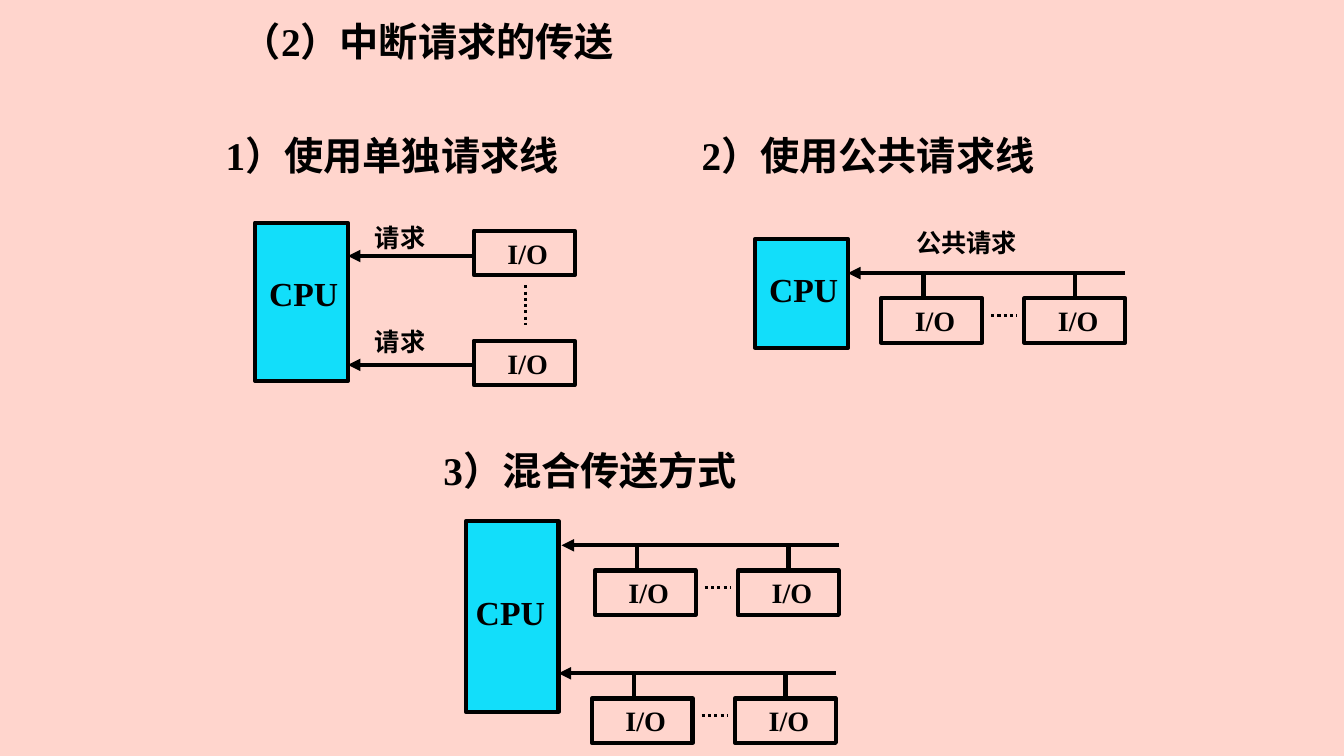
"""Build the slide on three ways of transferring interrupt requests."""
from lxml import etree
from pptx import Presentation
from pptx import util as u
from pptx.dml.color import RGBColor
from pptx.enum import dml, shapes, text
from pptx.oxml.ns import qn

COLOURS = {"page": "FFD5CD", "cpu": "12DEFA", "ink": "000000"}
LATIN, CHINESE = "Times New Roman", "Noto Sans CJK SC"

TITLE = ("（2）中断请求的传送", 2.3, 0.12, 6.33, 0.57)
HEADINGS = [
    ("1）使用单独请求线", 2.14, 1.25, 4.92, 0.57),
    ("2）使用公共请求线", 6.86, 1.25, 3.96, 0.57),
    ("3）混合传送方式", 4.3, 4.38, 3.96, 0.57),
]
LINE_LABELS = [
    ("请求", 3.62, 2.16, 1.33, 0.4),
    ("请求", 3.62, 3.19, 1.33, 0.4),
    ("公共请求", 8.99, 2.21, 1.83, 0.4),
]
CPUS = [
    ((2.53, 2.21, 0.92, 1.57), (2.57, 2.66)),
    ((7.49, 2.37, 0.92, 1.08), (7.53, 2.62)),
    ((4.62, 5.17, 0.92, 1.89), (4.62, 5.82)),
]
SINGLE_REQUESTS = [(2.54, 2.29), (3.62, 3.38)]
BUSES = [(8.41, 2.71), (5.57, 5.41), (5.54, 6.68)]
BUS_LENGTH, DROP = 2.75, 0.25
IO_WIDTH, IO_HEIGHT = 1, 0.44


def colour(name):
    return RGBColor.from_string(COLOURS[name])


def write(box, words, size, font=LATIN, align=text.PP_ALIGN.LEFT,
          anchor=text.MSO_ANCHOR.TOP):
    frame = box.text_frame
    frame.text = words
    frame.word_wrap = True
    frame.auto_size = text.MSO_AUTO_SIZE.NONE
    frame.vertical_anchor = anchor
    para = frame.paragraphs[0]
    para.alignment = align
    para.space_before = u.Pt(0)
    for span in para.runs:
        span.font.name = font
        span.font.size = u.Pt(size)
        span.font.bold = True
        span.font.color.rgb = colour("ink")
        east_asian = etree.Element(qn("a:ea"), typeface=CHINESE)
        span.font._element.find(qn("a:latin")).addnext(east_asian)


def add_label(page, words, left, top, width, height, size, font=LATIN):
    box = page.shapes.add_textbox(*map(u.Inches, (left, top, width, height)))
    write(box, words, size, font)


def add_rectangle(page, left, top, width, height, fill=None):
    box = page.shapes.add_shape(shapes.MSO_SHAPE.RECTANGLE,
                                *map(u.Inches, (left, top, width, height)))
    box.shadow.inherit = False
    if fill:
        box.fill.solid()
        box.fill.fore_color.rgb = colour(fill)
    else:
        box.fill.background()
    box.line.color.rgb = colour("ink")
    box.line.width = u.Pt(3)
    return box


def add_io(page, left, top):
    box = add_rectangle(page, left, top, IO_WIDTH, IO_HEIGHT)
    write(box, " I/O", 20, align=text.PP_ALIGN.CENTER,
          anchor=text.MSO_ANCHOR.MIDDLE)
    return box


def add_line(page, start, end, arrow=False, dotted=False):
    line = page.shapes.add_connector(shapes.MSO_CONNECTOR.STRAIGHT,
                                     *map(u.Inches, (*start, *end)))
    line.line.color.rgb = colour("ink")
    line.line.width = u.Pt(2.25 if dotted else 3)
    if dotted:
        line.line.dash_style = dml.MSO_LINE.ROUND_DOT
    properties = line._element.spPr
    if arrow:
        etree.SubElement(properties.find(qn("a:ln")), qn("a:headEnd"),
                         type="triangle")
    etree.SubElement(properties, qn("a:effectLst"))
    return line


def add_bus(page, left, y):
    add_line(page, (left, y), (left + BUS_LENGTH, y), arrow=True)
    top = y + DROP
    add_io(page, left + 0.33, top)
    last_io = add_io(page, left + BUS_LENGTH - IO_WIDTH, top)
    add_line(page, (left + 0.75, y), (left + 0.75, top))
    last_drop = add_line(page, (left + 2.25, y), (left + 2.25, top))
    last_drop.end_connect(last_io, 0)
    add_line(page, (left + 1.42, y + 0.42), (left + 1.67, y + 0.42),
             dotted=True)


def main():
    deck = Presentation()
    deck.slide_width, deck.slide_height = u.Inches(13.33), u.Inches(7.5)
    page = deck.slides.add_slide(deck.slide_layouts[5])
    page.background.fill.solid()
    page.background.fill.fore_color.rgb = colour("page")

    words, *place = TITLE
    title = page.shapes.title
    title.left, title.top, title.width, title.height = map(u.Inches, place)
    write(title, words, 28)

    for heading in HEADINGS:
        add_label(page, *heading, size=28)
    for frame, (left, top) in CPUS:
        add_rectangle(page, *frame, fill="cpu")
        add_label(page, "CPU", left, top, 1.08, 0.5, size=24)
    for y, top in SINGLE_REQUESTS:
        add_line(page, (3.45, y), (4.7, y), arrow=True)
        add_io(page, 4.7, top)
    add_line(page, (5.21, 2.83), (5.21, 3.22), dotted=True)
    for left, y in BUSES:
        add_bus(page, left, y)
    for label in LINE_LABELS:
        add_label(page, *label, size=18, font=CHINESE)

    deck.save("out.pptx")


if __name__ == "__main__":
    main()
